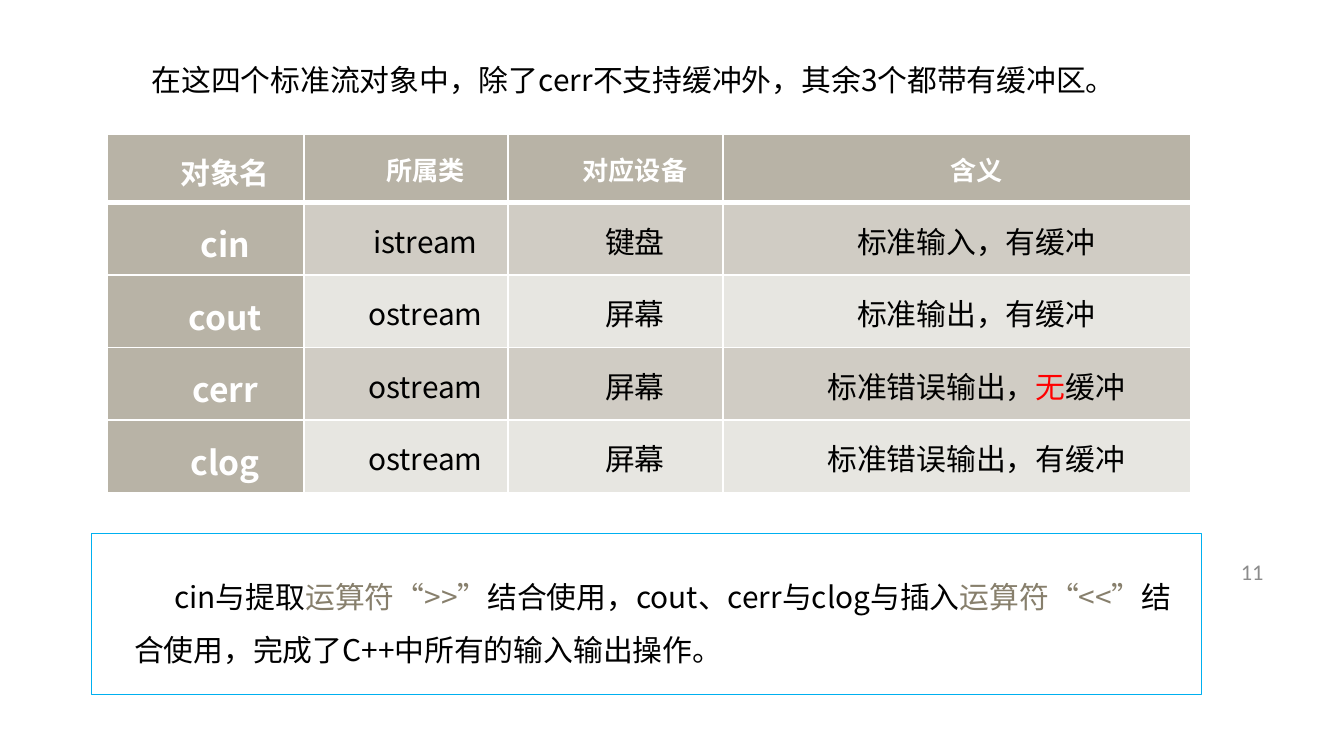
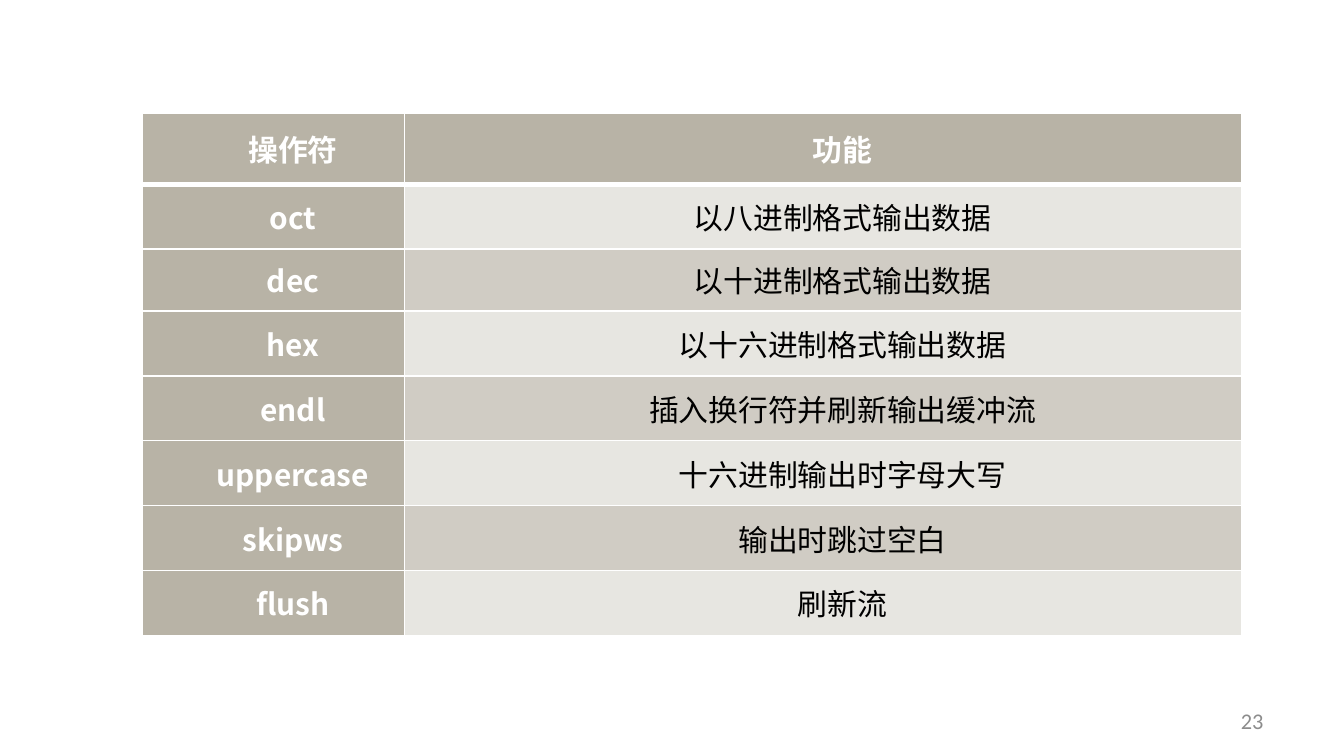
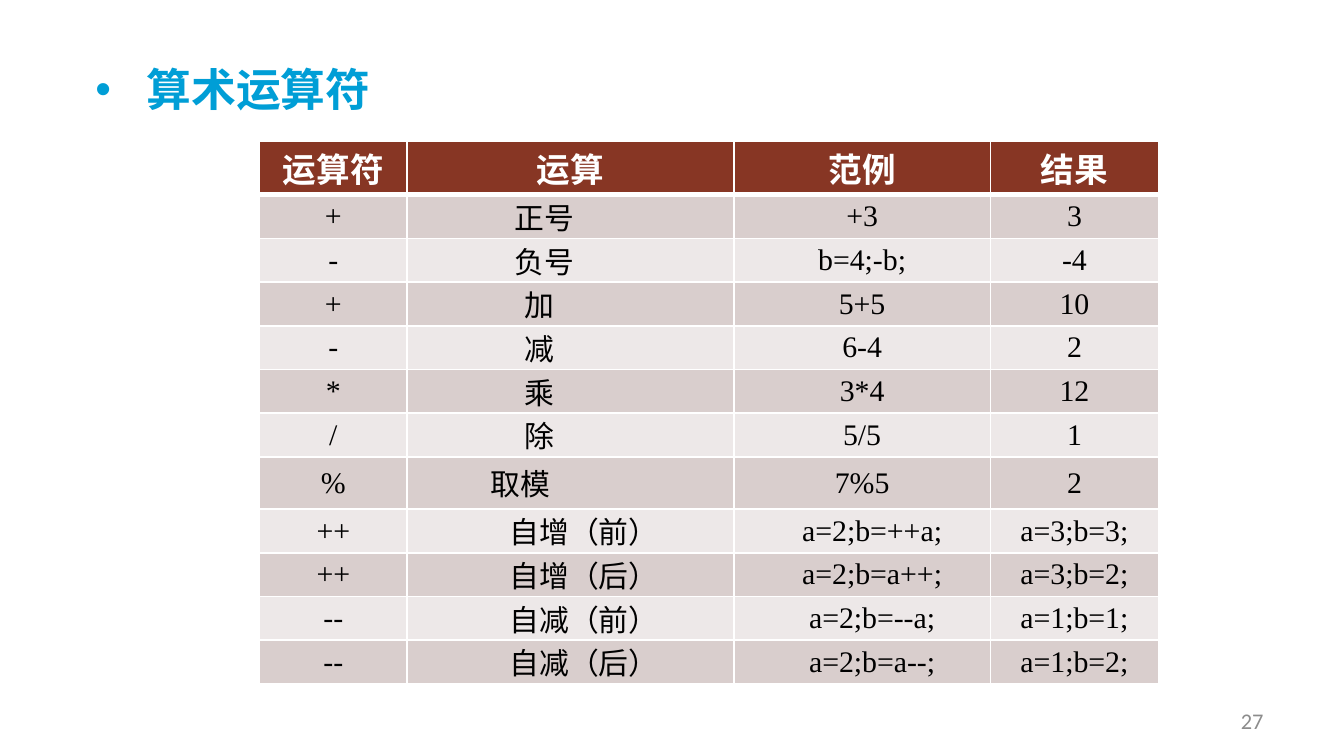
from dataclasses import dataclass
from typing import Sequence, Union

from pptx import Presentation
from pptx.dml.color import RGBColor
from pptx.enum.shapes import MSO_SHAPE
from pptx.enum.text import MSO_ANCHOR, MSO_AUTO_SIZE, PP_ALIGN
from pptx.oxml import parse_xml
from pptx.oxml.ns import nsdecls, qn
from pptx.util import Inches, Pt

SANS, SERIF, LATIN = "Noto Sans CJK SC", "Times New Roman", "Calibri"
WHITE, BLACK, RED, BLUE = "FFFFFF", "000000", "FF0000", "009ED6"
TAUPE, GREY, OLIVE, LINE = "B8B3A6", "8C8C8C", "877F6C", "00B0F0"
SAND, PALE = "D0CCC4", "E7E6E1"
BRICK, ROSE, BLUSH = "873624", "D9CECD", "EDE8E8"
CENTER, JUSTIFY, LEFT, RIGHT = (
    PP_ALIGN.CENTER, PP_ALIGN.JUSTIFY, PP_ALIGN.LEFT, PP_ALIGN.RIGHT)

Text = Union[str, Sequence[tuple[str, str]]]


@dataclass(frozen=True)
class Box:
    """Place and size in inches."""
    left: float
    top: float
    width: float
    height: float

    def emu(self) -> tuple:
        """Return the four lengths."""
        return tuple(map(Inches, (self.left, self.top, self.width, self.height)))


@dataclass(frozen=True)
class Cell:
    """Text of one cell with its format."""
    text: Text
    size: float = 16
    align: PP_ALIGN = CENTER
    indent: float = 0


@dataclass(frozen=True)
class Look:
    """Colours, font and insets of a table."""
    head: str
    bands: tuple[str, str]
    font: str
    inset: tuple[float, float]
    side: bool


def paint(code: str) -> RGBColor:
    """Turn a hex string into a colour."""
    return RGBColor.from_string(code)


def write(frame, text: Text, *, size: float = 16, font: str = SANS,
          color: str = BLACK, bold: bool = False, align: PP_ALIGN = LEFT,
          indent: float = 0, margin: float = 0, space: float | None = None,
          bullet: str = "") -> None:
    """Fill the first paragraph of a frame with formatted runs."""
    para = frame.paragraphs[0]
    para.alignment = align
    para.line_spacing = space
    props = para._p.get_or_add_pPr()
    props.set("marL", str(Inches(margin)))
    props.set("indent", str(Inches(indent)))
    if bullet:
        props.append(parse_xml(f'<a:buFont {nsdecls("a")} typeface="Arial"/>'))
        props.append(parse_xml(f'<a:buChar {nsdecls("a")} char="{bullet}"/>'))
    for part, tint in [(text, color)] if isinstance(text, str) else text:
        run = para.add_run()
        run.text = part
        run.font.size, run.font.bold, run.font.name = Pt(size), bold, font
        run.font.color.rgb = paint(tint)
        run._r.get_or_add_rPr().append(
            parse_xml(f'<a:ea {nsdecls("a")} typeface="{SANS}"/>'))


def label(slide, box: Box, text: Text, *, anchor=MSO_ANCHOR.TOP, **style) -> None:
    """Add a wrapped text box."""
    frame = slide.shapes.add_textbox(*box.emu()).text_frame
    frame.word_wrap = True
    frame.vertical_anchor = anchor
    write(frame, text, **style)


def number(slide, text: str, top: float = 5.21) -> None:
    """Add the page number."""
    label(slide, Box(7.17, top, 2.33, 0.3), text, anchor=MSO_ANCHOR.MIDDLE,
          size=12, font=LATIN, color=GREY, align=RIGHT)


def heading(slide, box: Box, text: str) -> None:
    """Format the title placeholder as a bulleted heading."""
    title = slide.shapes.title
    title.left, title.top, title.width, title.height = box.emu()
    frame = title.text_frame
    frame.word_wrap = False
    frame.auto_size = MSO_AUTO_SIZE.SHAPE_TO_FIT_TEXT
    frame.vertical_anchor = MSO_ANCHOR.TOP
    write(frame, text, size=24, font=LATIN, color=BLUE, bold=True,
          margin=0.38, indent=-0.38, space=1.5, bullet="•")


def panel(slide, box: Box) -> None:
    """Add a translucent outlined rectangle."""
    shape = slide.shapes.add_shape(MSO_SHAPE.RECTANGLE, *box.emu())
    shape.shadow.inherit = False
    shape.fill.solid()
    shape.fill.fore_color.rgb = paint(WHITE)
    tint = shape._element.spPr.find(f"{qn('a:solidFill')}/{qn('a:srgbClr')}")
    tint.append(parse_xml(f'<a:alpha {nsdecls("a")} val="90000"/>'))
    shape.line.color.rgb = paint(LINE)
    shape.line.width = Pt(0.75)


def border(cell, row: int) -> None:
    """Rule a cell in white, thicker below the header."""
    widths = {"L": 1, "R": 1, "T": 3 if row == 1 else 1, "B": 3 if row == 0 else 1}
    props = cell._tc.get_or_add_tcPr()
    for place, (side, width) in enumerate(widths.items()):
        props.insert(place, parse_xml(
            f'<a:ln{side} {nsdecls("a")} w="{Pt(width)}"><a:solidFill>'
            f'<a:srgbClr val="{WHITE}"/></a:solidFill></a:ln{side}>'))


def grid(slide, box: Box, cols: Sequence[float], fixed: dict[int, float],
         cells: Sequence[Sequence[Cell]], look: Look) -> None:
    """Add a banded table whose rows share the height that fixed rows leave."""
    table = slide.shapes.add_table(len(cells), len(cols), *box.emu()).table
    table.first_col = look.side
    for col, width in zip(table.columns, cols):
        col.width = Inches(width)
    share = (box.height - sum(fixed.values())) / (len(cells) - len(fixed))
    for i, line in enumerate(cells):
        table.rows[i].height = Inches(fixed.get(i, share))
        for j, item in enumerate(line):
            cell = table.cell(i, j)
            strong = i == 0 or (look.side and j == 0)
            cell.margin_left = cell.margin_right = Inches(look.inset[0])
            cell.margin_top = cell.margin_bottom = Inches(look.inset[1])
            cell.vertical_anchor = MSO_ANCHOR.MIDDLE
            cell.fill.solid()
            cell.fill.fore_color.rgb = paint(look.head if strong else look.bands[i % 2])
            border(cell, i)
            write(cell.text_frame, item.text, size=item.size, font=look.font,
                  color=WHITE if strong else BLACK, bold=strong,
                  align=item.align, indent=item.indent)


def streams(deck) -> None:
    """Build the slide on standard stream objects."""
    slide = deck.slides.add_slide(deck.slide_layouts[6])
    number(slide, "11", 4.1)
    panel(slide, Box(0.68, 3.97, 8.26, 1.2))
    label(slide, Box(0.68, 0.28, 8.49, 0.46),
          "在这四个标准流对象中，除了cerr不支持缓冲外，其余3个都带有缓冲区。",
          indent=0.35, space=1.5)
    texts = [
        ("对象名", "所属类", "对应设备", "含义"),
        ("cin", "istream", "键盘", "标准输入，有缓冲"),
        ("cout", "ostream", "屏幕", "标准输出，有缓冲"),
        ("cerr", "ostream", "屏幕",
         [("标准错误输出，", BLACK), ("无", RED), ("缓冲", BLACK)]),
        ("clog", "ostream", "屏幕", "标准错误输出，有缓冲"),
    ]
    sizes = [(16, 14, 14, 14)] + [(18, 16, 16, 16)] * 4
    cells = [[Cell(text, size, indent=0.29) for text, size in zip(*pair)]
             for pair in zip(texts, sizes)]
    grid(slide, Box(0.8, 1, 8.06, 2.65), (1.46, 1.52, 1.6, 3.48), {0: 0.5}, cells,
         Look(TAUPE, (PALE, SAND), SANS, (0.12, 0.12), True))
    label(slide, Box(0.9, 4.12, 7.97, 0.91), [
        ("cin与提取", BLACK), ("运算符“>>”", OLIVE),
        ("结合使用，cout、cerr与clog与插入", BLACK), ("运算符“<<”", OLIVE),
        ("结合使用，完成了C++中所有的输入输出操作。", BLACK),
    ], indent=0.3, space=1.5)


def formats(deck) -> None:
    """Build the slide on stream manipulators."""
    slide = deck.slides.add_slide(deck.slide_layouts[6])
    number(slide, "23")
    texts = [
        ("操作符", "功能"),
        ("oct", "以八进制格式输出数据"),
        ("dec", "以十进制格式输出数据"),
        ("hex", "以十六进制格式输出数据"),
        ("endl", "插入换行符并刷新输出缓冲流"),
        ("uppercase", "十六进制输出时字母大写"),
        ("skipws", "输出时跳过空白"),
        ("flush", "刷新流"),
    ]
    cells = [[Cell(text, indent=0.29) for text in line] for line in texts]
    grid(slide, Box(1.06, 0.84, 8.18, 3.89), (1.95, 6.23), {0: 0.53, 2: 0.46}, cells,
         Look(TAUPE, (SAND, PALE), SANS, (0.07, 0), True))


def maths(deck) -> None:
    """Build the slide on arithmetic operators."""
    slide = deck.slides.add_slide(deck.slide_layouts[5])
    number(slide, "27")
    heading(slide, Box(0.61, 0.21, 2.27, 0.71), "算术运算符")
    sign, basic = (JUSTIFY, 0.73, 0), (JUSTIFY, 0.8, 0)
    mod, step = (LEFT, 0.55, 0), (CENTER, 0.2, 0.15)
    lines = [
        ("+", "正号", "+3", "3", sign),
        ("-", "负号", "b=4;-b;", "-4", sign),
        ("+", "加", "5+5", "10", basic),
        ("-", "减", "6-4", "2", basic),
        ("*", "乘", "3*4", "12", basic),
        ("/", "除", "5/5", "1", basic),
        ("%", "取模", "7%5", "2", mod),
        ("++", "自增（前）", "a=2;b=++a;", "a=3;b=3;", step),
        ("++", "自增（后）", "a=2;b=a++;", "a=3;b=2;", step),
        ("--", "自减（前）", "a=2;b=--a;", "a=1;b=1;", step),
        ("--", "自减（后）", "a=2;b=a--;", "a=1;b=2;", step),
    ]
    cells = [[Cell(text, 18) for text in ("运算符", "运算", "范例", "结果")]]
    for mark, name, case, result, (align, first, shift) in lines:
        cells.append([Cell(mark), Cell(name, align=align, indent=first),
                      Cell(case, indent=shift), Cell(result)])
    grid(slide, Box(1.93, 1.05, 6.69, 4.04), (1.1, 2.43, 1.91, 1.25),
         {0: 0.4, 7: 0.39}, cells,
         Look(BRICK, (BLUSH, ROSE), SERIF, (0.07, 0), False))


def main() -> None:
    """Build and save the deck."""
    deck = Presentation()
    deck.slide_width = Inches(10)
    deck.slide_height = deck.slide_width * 9 // 16
    for build in (streams, formats, maths):
        build(deck)
    deck.save("out.pptx")


if __name__ == "__main__":
    main()
